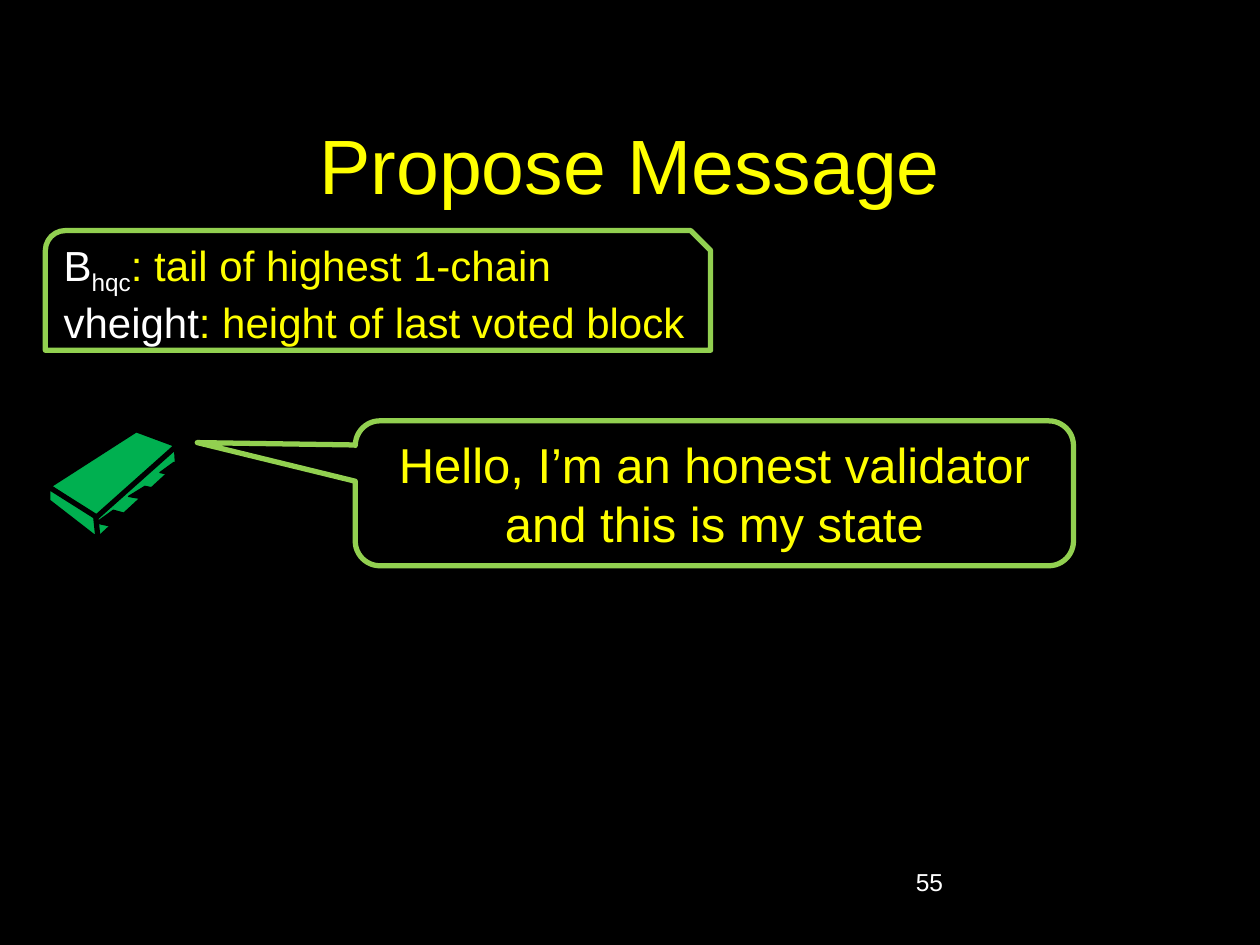
from pptx import Presentation
from pptx.dml.color import RGBColor
from pptx.enum import shapes, text
from pptx.util import Inches, Pt

BLACK = RGBColor(0x00, 0x00, 0x00)
WHITE = RGBColor(0xFF, 0xFF, 0xFF)
YELLOW = RGBColor(0xFF, 0xFF, 0x00)
LIME = RGBColor(0x92, 0xD0, 0x50)
GREEN = RGBColor(0x00, 0xB0, 0x50)
FONT = "Arial"

# Outlines in inches, from back to front: (fill, line width, points)
VALIDATOR_PARTS = [
    (BLACK, 0.75, [(0.51, 3.79), (0.38, 3.73), (0.32, 3.79), (0.32, 4.18),
                   (0.38, 4.11), (0.38, 3.86), (0.51, 3.92)]),
    (BLACK, 0.75, [(0.78, 3.6), (0.66, 3.54), (0.59, 3.6), (0.59, 3.98),
                   (0.66, 3.92), (0.66, 3.67), (0.78, 3.73)]),
    (BLACK, 0.75, [(1.08, 3.47), (0.95, 3.41), (0.89, 3.47), (0.89, 3.79),
                   (0.95, 3.74), (0.95, 3.52), (1.08, 3.57)]),
    (GREEN, 3, [(1.08, 3.41), (0.38, 3.86), (0.77, 4.12), (1.43, 3.54)]),
    (GREEN, 3, [(1.4, 3.54), (0.76, 4.11), (0.77, 4.29), (1.41, 3.7)]),
    (GREEN, 3, [(0.38, 3.86), (0.38, 3.98), (0.78, 4.29), (0.76, 4.1)]),
    (BLACK, 0.75, [(0.9, 4.05), (0.76, 4.15), (0.99, 4.2), (0.99, 4.49),
                   (1.08, 4.4), (1.08, 4.1)]),
    (BLACK, 0.75, [(1.15, 3.86), (1.02, 3.94), (1.25, 3.98), (1.25, 4.24),
                   (1.34, 4.15), (1.34, 3.9)]),
    (BLACK, 0.75, [(1.38, 3.67), (1.27, 3.75), (1.45, 3.79), (1.45, 4.05),
                   (1.53, 3.96), (1.53, 3.71)]),
]


def write(sp, paragraphs, size, align=text.PP_ALIGN.LEFT,
          anchor=text.MSO_ANCHOR.MIDDLE, wrap=True, grow=False):
    """Fill a shape with paragraphs, each a list of (text, colour, baseline %)."""
    tf = sp.text_frame
    tf.word_wrap = wrap
    tf.vertical_anchor = anchor
    tf.auto_size = (text.MSO_AUTO_SIZE.SHAPE_TO_FIT_TEXT if grow
                    else text.MSO_AUTO_SIZE.NONE)
    for i, runs in enumerate(paragraphs):
        p = tf.add_paragraph() if i else tf.paragraphs[0]
        p.alignment = align
        for words, color, baseline in runs:
            r = p.add_run()
            r.text = words
            r.font.name = FONT
            r.font.size = Pt(size)
            r.font.color.rgb = color
            if baseline:
                r.font._element.set("baseline", str(baseline * 1000))


def paint(sp, fill, line, width):
    sp.shadow.inherit = False
    sp.fill.solid()
    sp.fill.fore_color.rgb = fill
    sp.line.color.rgb = line
    sp.line.width = Pt(width)


def add_label(s, box, words, size, color, **fmt):
    sp = s.shapes.add_textbox(*map(Inches, box))
    write(sp, [[(words, color, 0)]], size, **fmt)


def add_panel(s, kind, box, paragraphs, size, adjustments=(), **fmt):
    sp = s.shapes.add_shape(kind, *map(Inches, box))
    for i, value in enumerate(adjustments):
        sp.adjustments[i] = value
    paint(sp, BLACK, LIME, 3)
    write(sp, paragraphs, size, grow=True, **fmt)


def add_validator(s):
    group = s.shapes.add_group_shape()
    for fill, width, points in VALIDATOR_PARTS:
        start, *rest = [(Inches(x), Inches(y)) for x, y in points]
        builder = group.shapes.build_freeform(*start)
        builder.add_line_segments(rest, close=True)
        paint(builder.convert_to_shape(), fill, BLACK, width)


def main():
    prs = Presentation()
    prs.slide_width, prs.slide_height = Inches(10), Inches(7.5)
    s = prs.slides.add_slide(prs.slide_layouts[6])
    s.background.fill.solid()
    s.background.fill.fore_color.rgb = BLACK

    add_label(s, (0.75, 0.67, 8.5, 1.25), "Propose Message", 44, YELLOW,
              align=text.PP_ALIGN.CENTER)
    add_label(s, (7.17, 6.83, 2.08, 0.5), "55", 14, WHITE,
              anchor=text.MSO_ANCHOR.TOP)
    add_panel(s, shapes.MSO_SHAPE.SNIP_ROUND_RECTANGLE, (0.36, 1.83, 5.28, 0.95),
              [[("B", WHITE, 0), ("hqc", WHITE, -25),
                (": tail of highest 1-chain", YELLOW, 0)],
               [("vheight", WHITE, 0),
                (": height of last voted block", YELLOW, 0)]],
              24, wrap=False)
    add_panel(s, shapes.MSO_SHAPE.ROUNDED_RECTANGULAR_CALLOUT,
              (2.82, 3.34, 5.7, 1.15),
              [[("Hello, I’m an honest validator and this is my state",
                 YELLOW, 0)]],
              28, adjustments=(-0.72, -0.35, 0.17), align=text.PP_ALIGN.CENTER)
    add_validator(s)
    prs.save("out.pptx")


if __name__ == "__main__":
    main()
